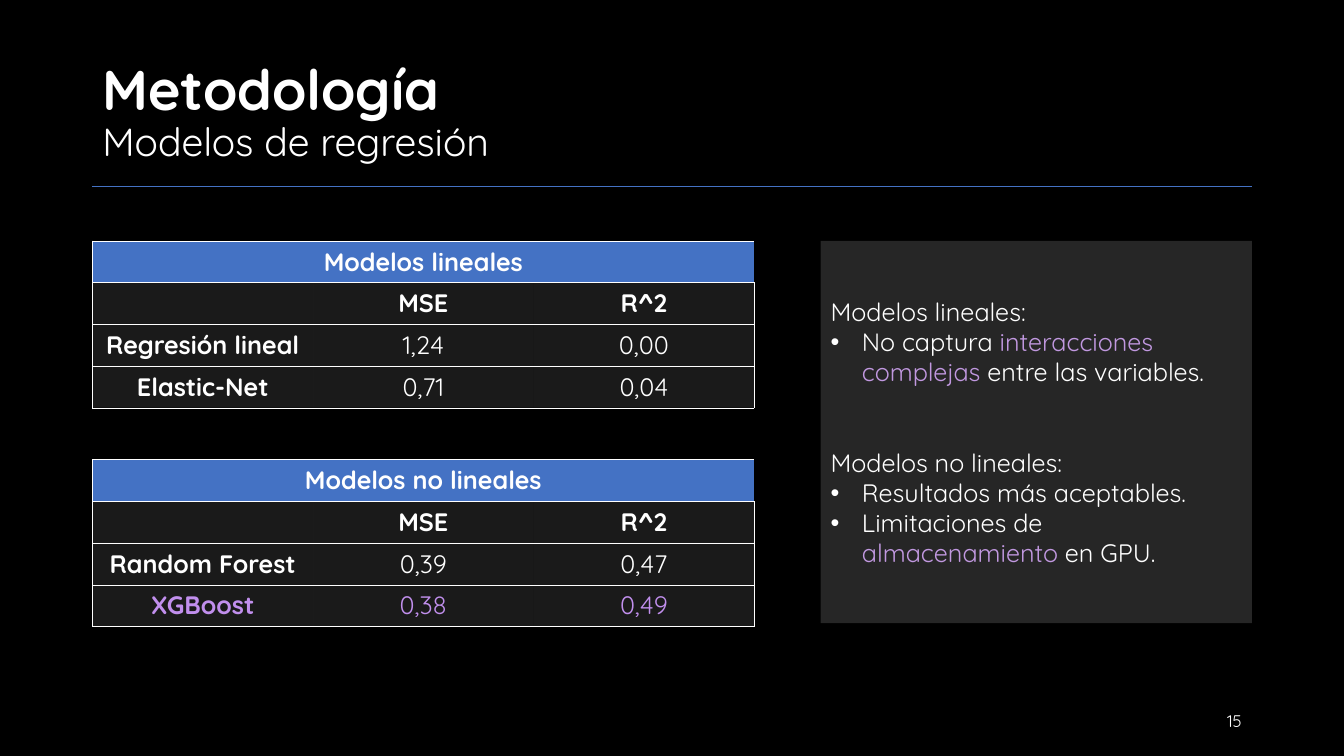
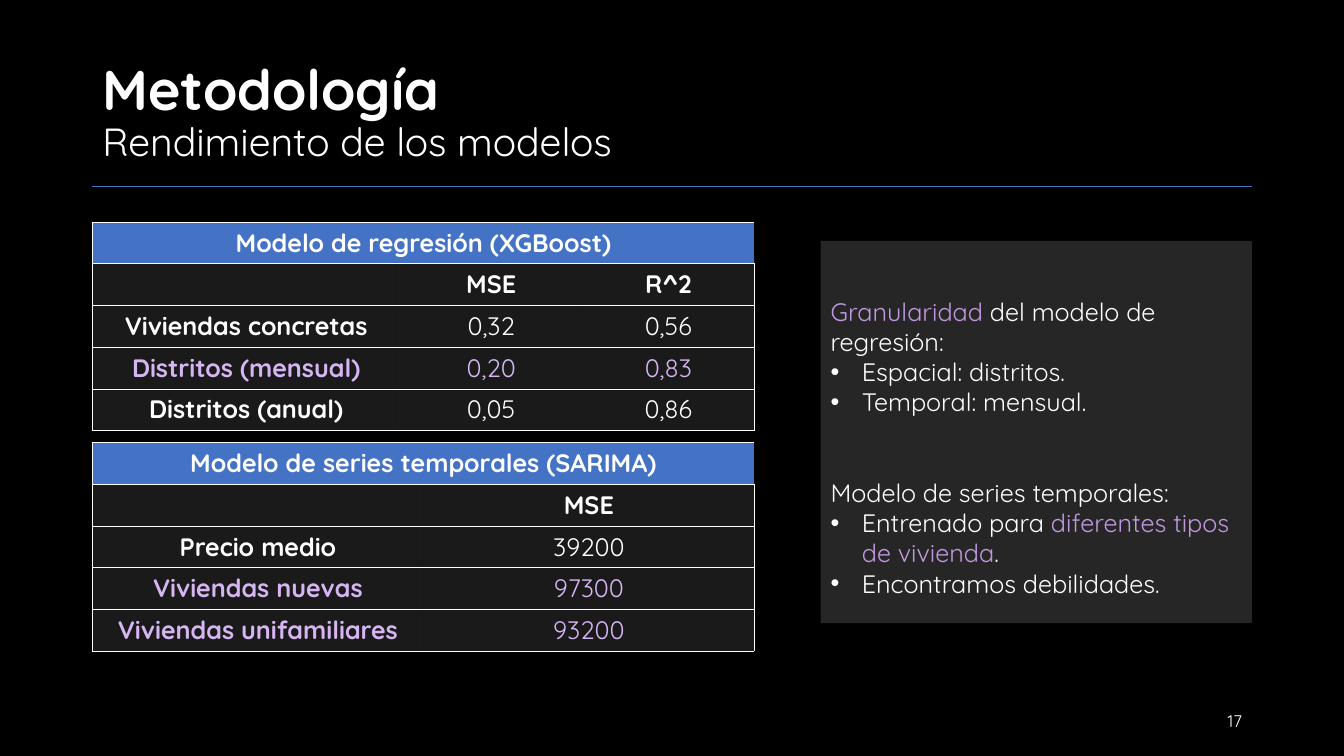
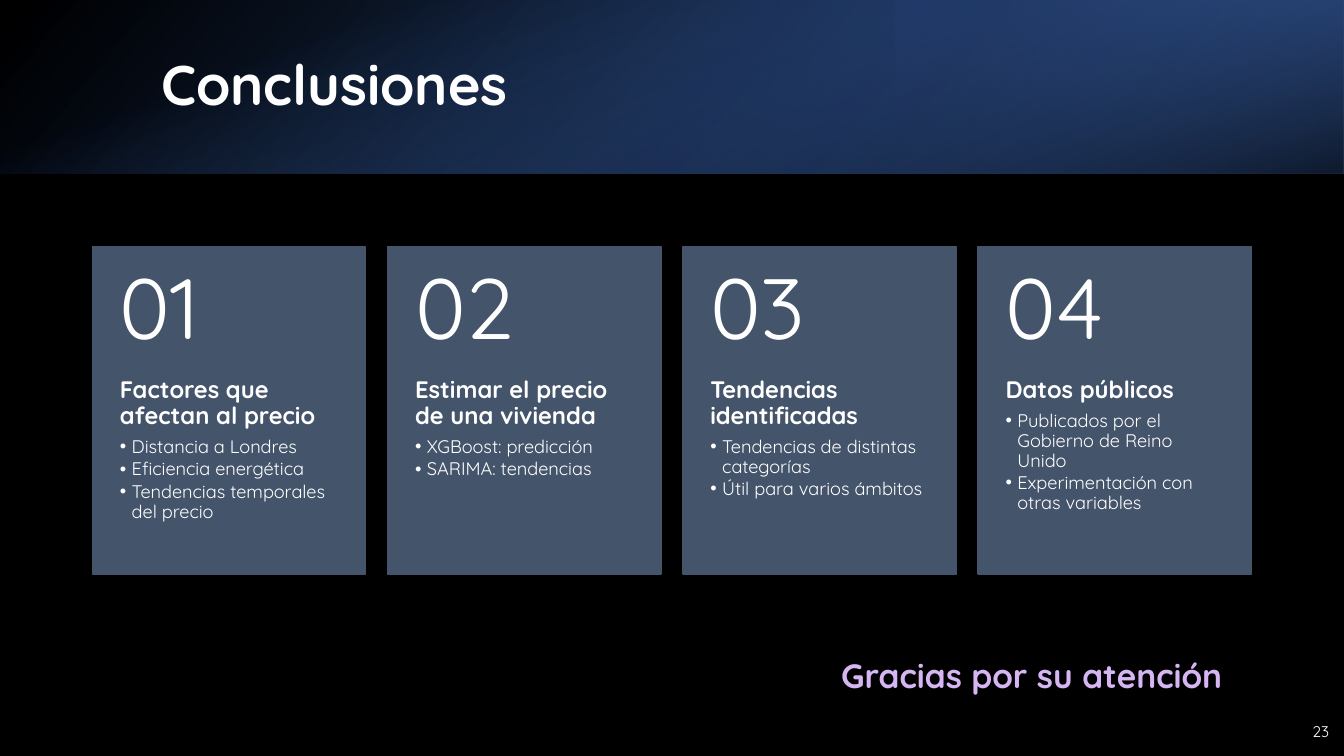
"""Build three dark slides: two pages of model results and the conclusions."""
from dataclasses import dataclass

from lxml.etree import SubElement as Sub
from pptx import Presentation
from pptx.dml.color import RGBColor as Rgb
from pptx.enum.shapes import MSO_CONNECTOR as Link, MSO_SHAPE as Form
from pptx.enum.text import MSO_ANCHOR as Anchor, MSO_AUTO_SIZE as Auto, PP_ALIGN as Align
from pptx.oxml.ns import qn
from pptx.util import Cm, Pt


@dataclass(frozen=True)
class Theme:
    font: str = "Quicksand"
    back: str = "000000"
    ink: str = "FFFFFF"
    blue: str = "4472C4"
    card: str = "44546A"
    mark: str = "C198E0"
    best: str = "C18FED"
    pale: str = "D6B5F3"
    title: int = 40
    sub: int = 28
    body: int = 18
    num: int = 12
    last: int = 11
    big: int = 61
    head: int = 17
    item: int = 13
    bye: int = 24


T = Theme()
LEFT, WIDE = 2.33, 29.21
ROW = 1.03

PAGES = [
    dict(sub="Modelos de regresión", num="15", drop=0, tables=[
        dict(top=6.07, cols=[5.56] * 3, title="Modelos lineales", tint=T.ink, hot=[], rows=[
            ("", "MSE", "R^2"),
            ("Regresión lineal", "1,24", "0,00"),
            ("Elastic-Net", "0,71", "0,04")]),
        dict(top=11.58, cols=[5.56] * 3, title="Modelos no lineales", tint=T.best, hot=[3], rows=[
            ("", "MSE", "R^2"),
            ("Random Forest", "0,39", "0,47"),
            ("XGBoost", "0,38", "0,49")])],
        notes=[
            ("Modelos lineales:", ["No captura *interacciones complejas* entre las variables."]),
            ("Modelos no lineales:", ["Resultados más aceptables.",
                                      "Limitaciones de *almacenamiento* en GPU."])]),
    dict(sub="Rendimiento de los modelos", num="17", drop=0.76, tables=[
        dict(top=5.59, cols=[7.75, 4.6, 4.33], title="Modelo de regresión (XGBoost)",
             tint=T.pale, hot=[3], rows=[
                 ("", "MSE", "R^2"),
                 ("Viviendas concretas", "0,32", "0,56"),
                 ("Distritos (mensual)", "0,20", "0,83"),
                 ("Distritos (anual)", "0,05", "0,86")]),
        dict(top=11.15, cols=[8.34] * 2, title="Modelo de series temporales (SARIMA)",
             tint=T.pale, hot=[3, 4], rows=[
                 ("", "MSE"),
                 ("Precio medio", "39200"),
                 ("Viviendas nuevas", "97300"),
                 ("Viviendas unifamiliares", "93200")])],
        notes=[
            ("*Granularidad* del modelo de regresión:", ["Espacial: distritos.",
                                                         "Temporal: mensual."]),
            ("Modelo de series temporales:", ["Entrenado para *diferentes tipos de vivienda*.",
                                              "Encontramos debilidades."])]),
]

CARDS = [
    ("Factores que afectan al precio", ["Distancia a Londres", "Eficiencia energética",
                                        "Tendencias temporales del precio"]),
    ("Estimar el precio de una vivienda", ["XGBoost: predicción", "SARIMA: tendencias"]),
    ("Tendencias identificadas", ["Tendencias de distintas categorías",
                                  "Útil para varios ámbitos"]),
    ("Datos públicos", ["Publicados por el Gobierno de Reino Unido",
                        "Experimentación con otras variables"]),
]

BANDS = [
    dict(box=(0, 0, 33.87, 4.37), turn=0, flip=True, angle=140,
         stops=[(0, "000000", 96), (1, "2F5597", 100)]),
    dict(box=(22.58, 0, 11.29, 4.37), turn=180, flip=True, angle=320,
         stops=[(0.19, "203864", 68), (1, "4472C4", 79)]),
    dict(box=(14.75, -14.75, 4.37, 33.87), turn=90, flip=False, angle=340,
         stops=[(0.23, "4472C4", 0), (0.99, "000000", 74)]),
]


def rgb(code):
    return Rgb.from_string(code)


def fade(node, *parts):
    for tone, part in zip(node.iter(qn("a:srgbClr")), parts):
        Sub(tone, qn("a:alpha"), val=str(part * 1000))


def paint(item, tone, part=100):
    item.fill.solid()
    item.fill.fore_color.rgb = rgb(tone)
    if part < 100:
        fade(item.fill._xPr, part)


def place(shape, box):
    shape.left, shape.top, shape.width, shape.height = map(Cm, box)
    return shape


def setup(shape, anchor=Anchor.MIDDLE, pad=(0.25, 0.13, 0.25, 0.13)):
    frame = shape.text_frame
    frame.word_wrap, frame.auto_size = True, Auto.NONE
    frame.vertical_anchor = anchor
    frame.margin_left, frame.margin_top, frame.margin_right, frame.margin_bottom = map(Cm, pad)
    return frame


def write(frame, text, size=T.body, color=T.ink, bold=False, align=Align.LEFT, lead=1.0,
          before=0, after=0, bullet=0, join=False):
    """Add a paragraph, or a line to the last one; words between stars get the accent."""
    para = frame.paragraphs[-1]
    if join:
        para.add_line_break()
    else:
        if para.runs:
            para = frame.add_paragraph()
        para.alignment, para.line_spacing = align, lead
        para.space_before, para.space_after = Pt(before), Pt(after)
        props = para._p.get_or_add_pPr()
        props.set("marL", str(Cm(bullet)))
        props.set("indent", str(-Cm(bullet)))
        if bullet:
            Sub(props, qn("a:buChar"), char="•")
        else:
            Sub(props, qn("a:buNone"))
    for i, part in enumerate(text.split("*")):
        if part:
            run = para.add_run()
            run.text = part
            font = run.font
            font.name, font.size, font.bold = T.font, Pt(size), bold
            font.color.rgb = rgb(T.mark if i % 2 else color)


def label(slide, box, text, anchor=Anchor.MIDDLE, pad=(0.25, 0.13, 0.25, 0.13), **style):
    shape = slide.shapes.add_textbox(*map(Cm, box))
    write(setup(shape, anchor, pad), text, **style)


def block(slide, box):
    shape = slide.shapes.add_shape(Form.RECTANGLE, *map(Cm, box))
    shape.shadow.inherit = False
    return shape


def front(shape):
    shape.element.getparent().append(shape.element)


def head(slide, box, text, sub=None):
    frame = setup(place(slide.shapes.title, box))
    write(frame, text, size=T.title, bold=True, lead=0.9)
    if sub:
        write(frame, sub, size=T.sub, join=True)


def edge(cell, first, last):
    props = cell._tc.get_or_add_tcPr()
    for i, (side, shown) in enumerate(zip("LRTB", (first, last, True, True))):
        line = Sub(props, qn("a:ln" + side), w=str(Pt(0.25)))
        if shown:
            Sub(Sub(line, qn("a:solidFill")), qn("a:srgbClr"), val=T.ink)
        else:
            Sub(line, qn("a:noFill"))
        props.insert(i, line)


def grid(slide, data):
    cols = data["cols"]
    rows = [(data["title"],) + ("",) * (len(cols) - 1)] + data["rows"]
    size = map(Cm, (LEFT, data["top"], sum(cols), ROW * len(rows)))
    table = slide.shapes.add_table(len(rows), len(cols), *size).table
    table.first_row = table.horz_banding = False
    for col, width in zip(table.columns, cols):
        col.width = Cm(width)
    for r, row in enumerate(rows):
        table.rows[r].height = Cm(ROW)
        tone = data["tint"] if r in data["hot"] else T.ink
        for c, text in enumerate(row):
            cell = table.cell(r, c)
            paint(cell, T.ink if r else T.blue, 10 if r else 100)
            edge(cell, c == 0, c == len(cols) - 1)
            if text:
                write(cell.text_frame, text, color=tone, bold=r < 2 or c == 0,
                      align=Align.CENTER)
    table.cell(0, 0).merge(table.cell(0, len(cols) - 1))


def panel(shape, notes, drop):
    place(shape, (20.68, 6.07, 10.87, 9.63))
    paint(shape, T.ink, 15)
    frame = setup(shape, pad=(0.25, 0.13 + drop, 0.25, 0.13))
    for i, (lead, items) in enumerate(notes):
        write(frame, lead, before=43 if i else 0)
        for item in items:
            write(frame, item, bullet=0.79)


def results(deck, page):
    slide = deck.slides.add_slide(deck.slide_layouts[1])
    rule = slide.shapes.add_connector(Link.STRAIGHT, *map(Cm, (LEFT, 4.7, LEFT + WIDE, 4.7)))
    rule.line.color.rgb, rule.line.width = rgb(T.blue), Pt(0.5)
    Sub(rule.element.spPr, qn("a:effectLst"))
    head(slide, (LEFT, 1.02, WIDE, 3.68), "Metodología", page["sub"])
    panel(slide.placeholders[1], page["notes"], page["drop"])
    for data in page["tables"]:
        grid(slide, data)
    label(slide, (23.93, 17.65, 7.62, 1.02), page["num"], size=T.num, align=Align.RIGHT)


def band(slide, data):
    shape = block(slide, data["box"])
    shape.rotation = data["turn"]
    if data["flip"]:
        shape.element.spPr.xfrm.set("flipH", "1")
    shape.fill.gradient()
    shape.fill.gradient_angle = 360 - data["angle"]
    for stop, (spot, tone, _) in zip(shape.fill.gradient_stops, data["stops"]):
        stop.position, stop.color.rgb = spot, rgb(tone)
    fade(shape.element.spPr, *(part for _, _, part in data["stops"]))
    shape.line.fill.background()


def closing(deck):
    slide = deck.slides.add_slide(deck.slide_layouts[4])
    for data in BANDS:
        band(slide, data)
    head(slide, (3.81, 0.97, 27.89, 2.44), "Conclusiones")
    front(slide.shapes.title)
    width, top, tall, cap = 6.89, 6.22, 8.25, 3.3
    step = width + (WIDE - width * len(CARDS)) / (len(CARDS) - 1)
    for i, (name, items) in enumerate(CARDS):
        left = LEFT + i * step
        card = block(slide, (left, top, width, tall))
        paint(card, T.card)
        card.line.color.rgb, card.line.width = rgb(T.card), Pt(1)
        body = place(slide.placeholders[i + 1], (left, top + cap, width, tall - cap))
        front(body)
        frame = setup(body, Anchor.TOP, (0.69, 0, 0.69, 0.91))
        write(frame, name, size=T.head, bold=True, lead=0.9, after=6)
        for item in items:
            write(frame, item, size=T.item, lead=0.9, after=2, bullet=0.3)
        label(slide, (left, top, width, cap), f"{i + 1:02}", pad=(0.69, 0.46, 0.69, 0.46),
              size=T.big, lead=0.9)
    label(slide, (20.45, 16.38, 11.1, 1.27), "Gracias por su atención", anchor=Anchor.TOP,
          size=T.bye, color=T.pale, bold=True, align=Align.CENTER)
    label(slide, (32.51, 17.93, 1.24, 1.02), "23", size=T.last, align=Align.RIGHT, after=6)


def main():
    deck = Presentation()
    deck.slide_width, deck.slide_height = Cm(33.87), Cm(19.05)
    paint(deck.slide_master.background, T.back)
    for page in PAGES:
        results(deck, page)
    closing(deck)
    deck.save("out.pptx")


if __name__ == "__main__":
    main()
